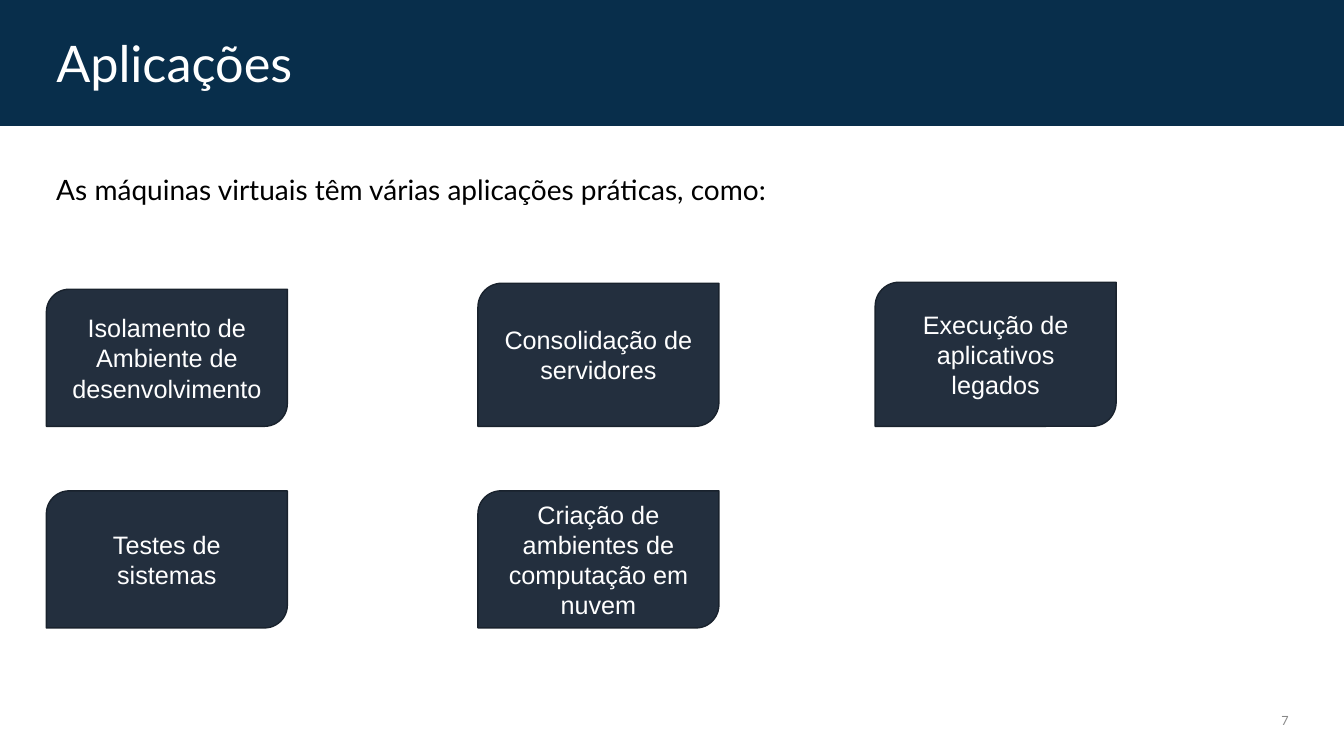
from lxml import etree
from pptx import Presentation
from pptx.dml.color import RGBColor
from pptx.enum.shapes import MSO_SHAPE
from pptx.enum.text import MSO_ANCHOR, PP_ALIGN
from pptx.oxml.ns import qn
from pptx.util import Inches, Pt

NAVY = RGBColor(0x00, 0x28, 0x46)
SLATE = RGBColor(0x23, 0x2F, 0x3E)
SLATE_EDGE = RGBColor(0x19, 0x22, 0x2D)
WHITE = RGBColor(0xFF, 0xFF, 0xFF)
BLACK = RGBColor(0x00, 0x00, 0x00)
GRAY = RGBColor(0x88, 0x88, 0x88)

RECTANGLE = MSO_SHAPE.RECTANGLE
DIAGONAL_ROUND = MSO_SHAPE.ROUND_2_DIAG_RECTANGLE
TOP, MIDDLE = MSO_ANCHOR.TOP, MSO_ANCHOR.MIDDLE
LEFT, CENTER, RIGHT = PP_ALIGN.LEFT, PP_ALIGN.CENTER, PP_ALIGN.RIGHT

SLIDE_WIDTH, SLIDE_HEIGHT = 13.33, 7.5
MARGIN = 0.46
CARD_WIDTH, CARD_HEIGHT = 2.39, 1.36
COLUMN_LEFTS = (MARGIN, 4.74, 8.68)
ROW_BOTTOMS = (4.23, 6.23)

# Text, column, row, height
APPLICATIONS = (
    ("Isolamento de Ambiente de desenvolvimento", 0, 0, CARD_HEIGHT),
    ("Consolidação de servidores", 1, 0, 1.42),
    ("Execução de aplicativos legados", 2, 0, 1.43),
    ("Testes de sistemas", 0, 1, CARD_HEIGHT),
    ("Criação de ambientes de computação em nuvem", 1, 1, CARD_HEIGHT),
)


class SlideBuilder:
    heading_font = "Lato"
    card_font = "Arial"

    def __init__(self, slide):
        self.slide = slide

    def add_text(self, shape, text, size, color, font, align, anchor, spacing=1.0):
        frame = shape.text_frame
        frame.word_wrap = True
        frame.vertical_anchor = anchor
        paragraph = frame.paragraphs[0]
        paragraph.alignment = align
        paragraph.line_spacing = spacing
        run = paragraph.add_run()
        run.text = text
        run.font.name = font
        run.font.size = Pt(size)
        run.font.color.rgb = color

    def filled_shape(self, kind, box, color):
        shape = self.slide.shapes.add_shape(kind, *map(Inches, box))
        shape.shadow.inherit = False
        shape.fill.solid()
        shape.fill.fore_color.rgb = color
        return shape

    def header_band(self, height, opacity):
        band = self.filled_shape(RECTANGLE, (0, 0, SLIDE_WIDTH, height), NAVY)
        band.line.fill.background()
        color = band.element.find(".//" + qn("a:srgbClr"))
        etree.SubElement(color, qn("a:alpha")).set("val", str(opacity * 1000))

    def label(self, text, box, size, color, align=LEFT, anchor=MIDDLE, spacing=1.0):
        text_box = self.slide.shapes.add_textbox(*map(Inches, box))
        self.add_text(text_box, text, size, color, self.heading_font, align, anchor, spacing)

    def card(self, text, column, row, height):
        """Place a card whose bottom edge rests on its row's baseline."""
        box = (COLUMN_LEFTS[column], ROW_BOTTOMS[row] - height, CARD_WIDTH, height)
        card = self.filled_shape(DIAGONAL_ROUND, box, SLATE)
        card.line.color.rgb = SLATE_EDGE
        card.line.width = Pt(1)
        self.add_text(card, text, 18, WHITE, self.card_font, CENTER, MIDDLE)


def main():
    presentation = Presentation()
    presentation.slide_width = Inches(SLIDE_WIDTH)
    presentation.slide_height = Inches(SLIDE_HEIGHT)
    builder = SlideBuilder(presentation.slides.add_slide(presentation.slide_layouts[6]))

    builder.header_band(1.25, 97)
    builder.label("Aplicações", (MARGIN, 0.4, 10.68, 0.52), 36, WHITE, spacing=0.9)
    builder.label("7", (9.88, 6.95, 3, 0.4), 9, GRAY, align=RIGHT)
    builder.label("As máquinas virtuais têm várias aplicações práticas, como:",
                  (MARGIN, 1.7, 9.76, 0.52), 20, BLACK, anchor=TOP, spacing=0.9)
    for application in APPLICATIONS:
        builder.card(*application)

    presentation.save("out.pptx")


if __name__ == "__main__":
    main()
